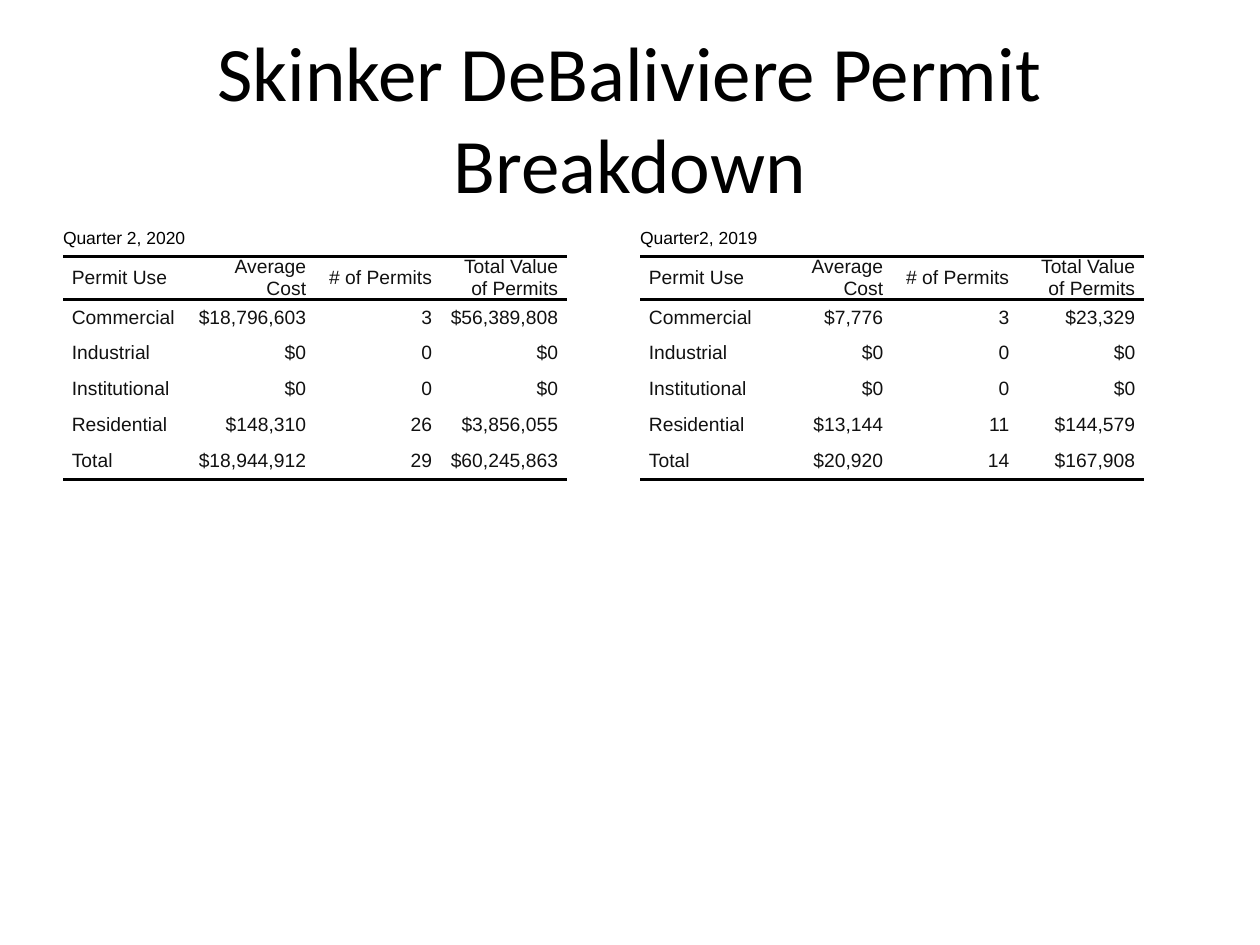
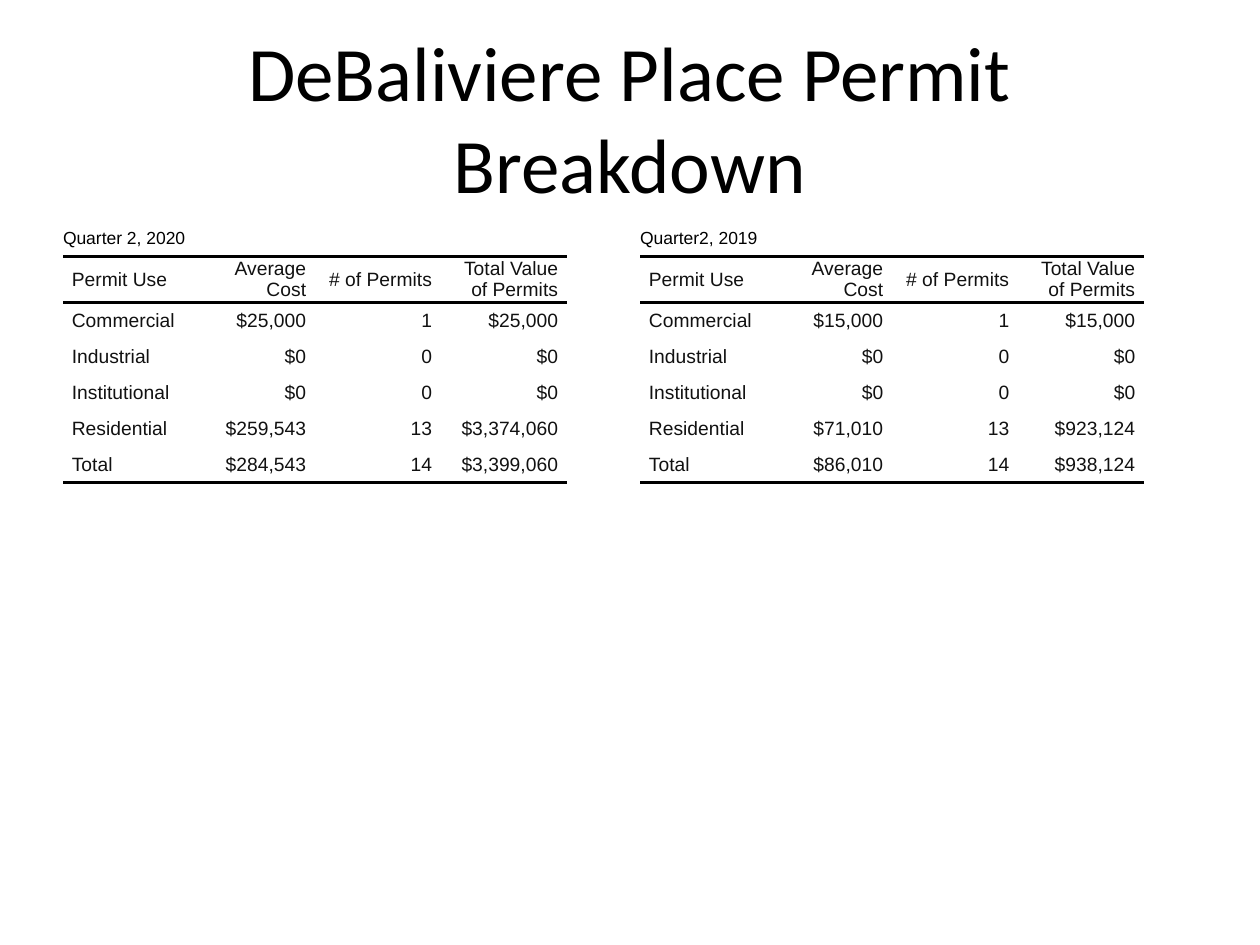
from dataclasses import dataclass

from pptx import Presentation
from pptx.dml.color import RGBColor
from pptx.enum.text import MSO_ANCHOR as Anchor, PP_ALIGN as Align
from pptx.oxml.ns import qn
from pptx.util import Inches, Pt
from lxml.etree import SubElement

COLORS = {"black": "000000", "figures": "111111"}
TITLE_FONT, TABLE_FONT = "Calibri", "Arial"
SLIDE_W, SLIDE_H = Inches(10), Inches(7.5)

# Shares of the slide's width and height
MARGIN = 0.05
TITLE_TOP, TITLE_H = 0.04, 1 / 6
TABLE_TOP, TABLE_W, TABLE_H = 0.2333, 0.442, 0.66
COLUMN_W, ROW_H = 0.1, 0.0381

HEADER = ("Permit Use", "Average Cost", "# of Permits", "Total Value of Permits")
USES = ("Commercial", "Industrial", "Institutional", "Residential", "Total")
NO_PERMITS = ("$0", "0", "$0")
ROW_COUNT = len(USES) + 2
RULED_EDGES = {1, 2, ROW_COUNT}
RULE_PT = 2
CELL_INDENT = Inches(0.07)


@dataclass(frozen=True)
class Quarter:
    """Permit figures (average cost, count, total value) of one quarter."""
    label: str
    commercial: tuple[str, str, str]
    residential: tuple[str, str, str]
    total: tuple[str, str, str]

    def rows(self) -> list[tuple[str, ...]]:
        figures = (self.commercial, NO_PERMITS, NO_PERMITS, self.residential, self.total)
        return [HEADER] + [(use, *values) for use, values in zip(USES, figures)]


@dataclass(frozen=True)
class Neighborhood:
    name: str
    quarters: tuple[Quarter, Quarter]


NEIGHBORHOODS = (
    Neighborhood("Skinker DeBaliviere", (
        Quarter("Quarter 2, 2020", ("$18,796,603", "3", "$56,389,808"),
                ("$148,310", "26", "$3,856,055"), ("$18,944,912", "29", "$60,245,863")),
        Quarter("Quarter2, 2019", ("$7,776", "3", "$23,329"),
                ("$13,144", "11", "$144,579"), ("$20,920", "14", "$167,908")),
    )),
    Neighborhood("DeBaliviere Place", (
        Quarter("Quarter 2, 2020", ("$25,000", "1", "$25,000"),
                ("$259,543", "13", "$3,374,060"), ("$284,543", "14", "$3,399,060")),
        Quarter("Quarter2, 2019", ("$15,000", "1", "$15,000"),
                ("$71,010", "13", "$923,124"), ("$86,010", "14", "$938,124")),
    )),
)


def across(share: float) -> int:
    return round(SLIDE_W * share)


def down(share: float) -> int:
    return round(SLIDE_H * share)


def write(tf, text: str, *, size: float, font: str = TABLE_FONT, color: str = "black",
          align=Align.LEFT, indent: int = 0) -> None:
    p = tf.paragraphs[0]
    p.alignment = align
    if indent:
        pPr = p._p.get_or_add_pPr()
        for side in ("marL", "marR"):
            pPr.set(side, str(indent))
        pPr.set("indent", "0")
    r = p.add_run()
    r.text = text
    r.font.name, r.font.size = font, Pt(size)
    r.font.color.rgb = RGBColor.from_string(COLORS[color])


def style_cell(cell, row: int) -> None:
    """Clear fill and insets; rule only the edges listed in RULED_EDGES."""
    cell.margin_left = cell.margin_right = cell.margin_top = cell.margin_bottom = 0
    cell.vertical_anchor = Anchor.MIDDLE
    tcPr = cell._tc.get_or_add_tcPr()
    ruled = {"lnT": row in RULED_EDGES, "lnB": row + 1 in RULED_EDGES}
    for side in ("lnL", "lnR", "lnT", "lnB"):
        ln = SubElement(tcPr, qn(f"a:{side}"), w=str(Pt(RULE_PT)))
        if ruled.get(side):
            fill = SubElement(ln, qn("a:solidFill"))
            SubElement(fill, qn("a:srgbClr"), val=COLORS["black"])
        else:
            SubElement(ln, qn("a:noFill"))
    cell.fill.background()


def add_quarter_table(s, quarter: Quarter, left: float) -> None:
    frame = s.shapes.add_table(ROW_COUNT, len(HEADER), across(left), down(TABLE_TOP),
                               across(TABLE_W), down(TABLE_H))
    table = frame.table
    table.first_row = table.horz_banding = False
    for column in table.columns:
        column.width = across(COLUMN_W)
    for i, row in enumerate(table.rows):
        row.height = down(ROW_H)
        for cell in row.cells:
            style_cell(cell, i)
    frame.width, frame.height = across(TABLE_W), down(TABLE_H)

    label = table.cell(0, 0)
    label.merge(table.cell(0, len(HEADER) - 1))
    write(label.text_frame, quarter.label, size=10)
    for i, values in enumerate(quarter.rows(), start=1):
        for j, value in enumerate(values):
            write(table.cell(i, j).text_frame, value, size=11, color="figures",
                  align=Align.RIGHT if j else Align.LEFT, indent=CELL_INDENT)


def add_title(s, text: str) -> None:
    box = s.shapes.add_textbox(across(MARGIN), down(TITLE_TOP),
                               across(1 - 2 * MARGIN), down(TITLE_H))
    tf = box.text_frame
    tf.word_wrap = True
    tf.vertical_anchor = Anchor.MIDDLE
    write(tf, text, size=44, font=TITLE_FONT, align=Align.CENTER)


def add_breakdown_slide(prs, area: Neighborhood) -> None:
    s = prs.slides.add_slide(prs.slide_layouts[6])
    for quarter, left in zip(area.quarters, (MARGIN, 1 - MARGIN - TABLE_W)):
        add_quarter_table(s, quarter, left)
    add_title(s, f"{area.name} Permit Breakdown")


def main() -> None:
    prs = Presentation()
    prs.slide_width, prs.slide_height = SLIDE_W, SLIDE_H
    for area in NEIGHBORHOODS:
        add_breakdown_slide(prs, area)
    prs.save("out.pptx")


if __name__ == "__main__":
    main()
